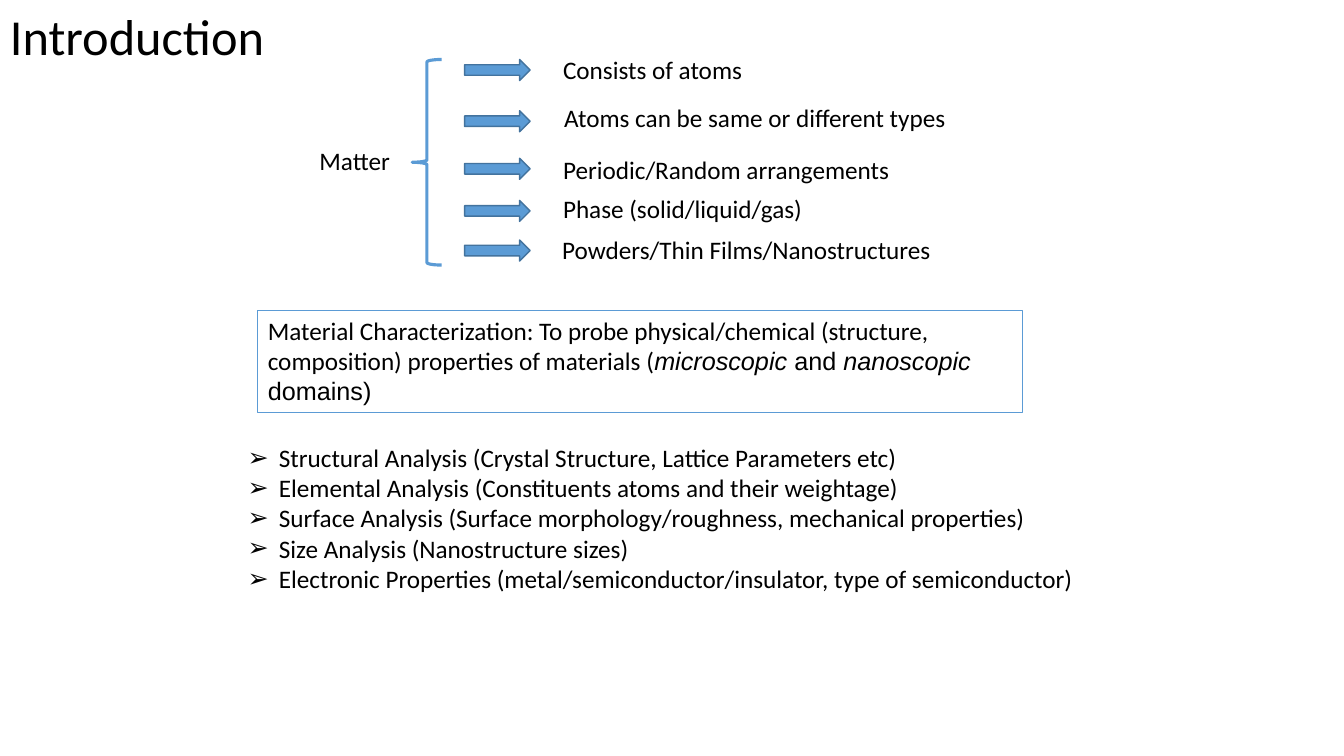
from lxml.etree import SubElement
from pptx import Presentation
from pptx.dml.color import RGBColor
from pptx.enum.shapes import MSO_SHAPE as SHAPE
from pptx.enum.text import MSO_ANCHOR as ANCHOR, MSO_AUTO_SIZE as AUTO, PP_ALIGN as ALIGN
from pptx.oxml.ns import qn
from pptx.util import Cm, Pt

COLORS = {"text": "000000", "blue": "5B9BD5", "edge": "43739E"}
FONT = "Calibri"
TITLE = "Introduction"
TOPIC = "Matter"
# text, arrow top, text left, text top, text width
FACTS = [
    ("Consists of atoms", 1.5, 13.94, 1.24, 5.21),
    ("Atoms can be same or different types", 2.79, 13.97, 2.46, 10.24),
    ("Periodic/Random arrangements", 3.99, 13.94, 3.76, 8.81),
    ("Phase (solid/liquid/gas)", 5.05, 13.94, 4.75, 6.6),
    ("Powders/Thin Films/Nanostructures", 6.05, 13.92, 5.77, 9.88),
]
DEFINITION = [
    ("Material Characterization: To probe physical/chemical (structure, "
     "composition) properties of materials (", "Calibri", False),
    ("microscopic ", "Arial", True),
    ("and ", "Arial", False),
    ("nanoscopic ", "Arial", True),
    ("domains)", "Arial", False),
]
ANALYSES = [
    "Structural Analysis (Crystal Structure, Lattice Parameters etc)",
    "Elemental Analysis (Constituents atoms and their weightage)",
    "Surface Analysis (Surface morphology/roughness, mechanical properties)",
    "Size Analysis (Nanostructure sizes)",
    "Electronic Properties (metal/semiconductor/insulator, type of semiconductor)",
]


def color(name):
    return RGBColor.from_string(COLORS[name])


def style(r, size=18, font=FONT, italic=False):
    r.font.size = Pt(size)
    r.font.name = font
    r.font.italic = italic
    r.font.color.rgb = color("text")


def add_text(shapes, text, box, size=18, wrap=False):
    sp = shapes.add_textbox(*map(Cm, box))
    tf = sp.text_frame
    tf.word_wrap = wrap
    tf.auto_size = AUTO.SHAPE_TO_FIT_TEXT
    tf.text = text
    for p in tf.paragraphs:
        for r in p.runs:
            style(r, size)
    return sp


def add_shape(shapes, kind, box, line, width, fill=None):
    sp = shapes.add_shape(kind, *map(Cm, box))
    sp.shadow.inherit = False
    if fill:
        sp.fill.solid()
        sp.fill.fore_color.rgb = color(fill)
    else:
        sp.fill.background()
    sp.line.color.rgb = color(line)
    sp.line.width = Pt(width)
    return sp


def add_bullet(p, char, indent):
    pPr = p._p.get_or_add_pPr()
    pPr.set("marL", str(indent))
    pPr.set("indent", str(-indent))
    SubElement(pPr, qn("a:buFont")).set("typeface", "Arial")
    SubElement(pPr, qn("a:buChar")).set("char", char)


prs = Presentation()
prs.slide_width, prs.slide_height = Cm(33.87), Cm(19.05)
s = prs.slides.add_slide(prs.slide_layouts[6])

group = s.shapes.add_group_shape().shapes
add_text(group, TOPIC, (7.8, 3.53, 2.31, 1.02))
add_shape(group, SHAPE.LEFT_BRACE, (10.39, 1.5, 0.74, 5.18), "blue", 2.25)
for text, arrow_top, left, top, width in FACTS:
    add_shape(group, SHAPE.RIGHT_ARROW, (11.71, arrow_top, 1.65, 0.53), "edge", 1, "blue")
    add_text(group, text, (left, top, width, 1.02))

analyses = add_text(s.shapes, "\n".join(ANALYSES), (5.99, 11.02, 22.05, 4.11), wrap=True)
for p in analyses.text_frame.paragraphs:
    add_bullet(p, "➢", Cm(0.79))

add_text(s.shapes, TITLE, (0, 0, 6.99, 1.8), size=36)

definition = add_shape(s.shapes, SHAPE.RECTANGLE, (6.5, 7.82, 19.28, 2.57), "blue", 0.75)
tf = definition.text_frame
tf.word_wrap = True
tf.auto_size = AUTO.SHAPE_TO_FIT_TEXT
tf.vertical_anchor = ANCHOR.TOP
p = tf.paragraphs[0]
p.alignment = ALIGN.LEFT
for text, font, italic in DEFINITION:
    r = p.add_run()
    r.text = text
    style(r, font=font, italic=italic)

prs.save("out.pptx")
